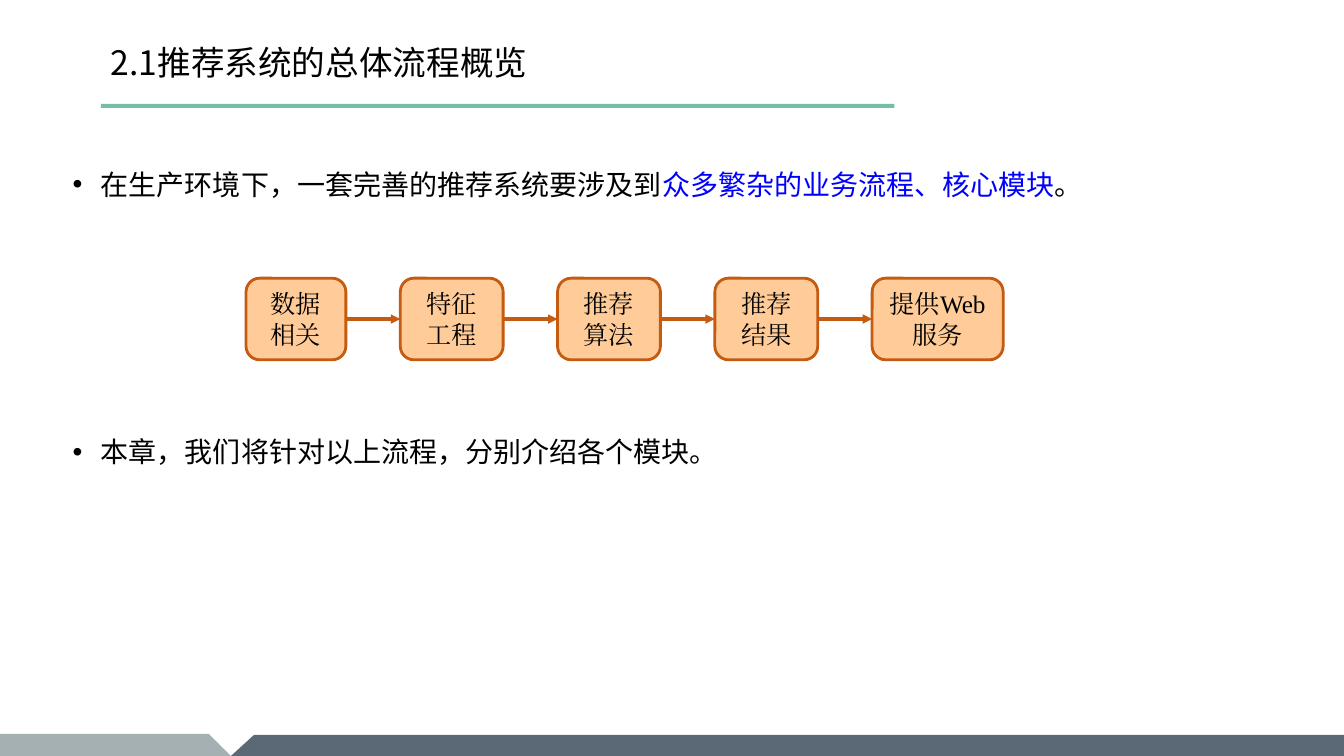
from lxml import etree
from pptx import Presentation
from pptx.dml.color import RGBColor
from pptx.enum.shapes import MSO_CONNECTOR, MSO_SHAPE
from pptx.enum.text import MSO_ANCHOR, PP_ALIGN
from pptx.oxml.ns import qn
from pptx.util import Inches, Pt

STRAIGHT = MSO_CONNECTOR.STRAIGHT
RECTANGLE, ROUNDED = MSO_SHAPE.RECTANGLE, MSO_SHAPE.ROUNDED_RECTANGLE
TOP, MIDDLE = MSO_ANCHOR.TOP, MSO_ANCHOR.MIDDLE
LEFT, CENTER = PP_ALIGN.LEFT, PP_ALIGN.CENTER

BLACK = RGBColor(0x00, 0x00, 0x00)
BLUE = RGBColor(0x00, 0x00, 0xFF)
GREEN = RGBColor(0x75, 0xBD, 0xA7)
PEACH = RGBColor(0xFF, 0xCC, 0x99)
RUST = RGBColor(0xC5, 0x5A, 0x11)
NAVY = RGBColor(0x24, 0x38, 0x48)
GREY = RGBColor(0x7A, 0x8C, 0x8E)

SANS, SERIF = "Noto Sans CJK SC", "Times New Roman"
WIDTH, HEIGHT = 13.33, 7.5

TITLE = "2.1推荐系统的总体流程概览"
POINTS = [
    (0, [("在生产环境下，一套完善的推荐系统要涉及到", BLACK),
         ("众多繁杂的业务流程、核心模块", BLUE),
         ("。", BLACK)]),
    (167, [("本章，我们将针对以上流程，分别介绍各个模块。", BLACK)]),
]
STEPS = [("数据相关", 0.99), ("特征工程", 1.02), ("推荐算法", 1.02),
         ("推荐结果", 1.02), ("提供Web服务", 1.3)]
STEP_LEFT, STEP_TOP, STEP_HEIGHT, STEP_GAP = 2.44, 2.76, 0.81, 0.54
FOOTER = [
    (NAVY, 75, [(2.29, HEIGHT), (2.52, 7.29), (WIDTH, 7.29), (WIDTH, HEIGHT)]),
    (GREY, 68, [(0, 7.28), (2.07, 7.28), (2.29, HEIGHT), (0, HEIGHT)]),
]


def paint(shape, fill, line=None):
    shape.shadow.inherit = False
    shape.fill.solid()
    shape.fill.fore_color.rgb = fill
    if line is None:
        shape.line.fill.background()
    else:
        shape.line.color.rgb = line
        shape.line.width = Pt(2)


def set_frame(frame, anchor, inset, top_inset):
    frame.word_wrap = True
    layout = {"vertical_anchor": anchor, "margin_left": Inches(inset),
              "margin_right": Inches(inset), "margin_top": Inches(top_inset),
              "margin_bottom": Inches(0.05)}
    for name, value in layout.items():
        setattr(frame, name, value)


def write(paragraph, pieces, size, face, align=LEFT):
    paragraph.alignment = align
    for words, color in pieces:
        run = paragraph.add_run()
        run.text = words
        for name, value in {"size": Pt(size), "name": face}.items():
            setattr(run.font, name, value)
        run.font.color.rgb = color
        east_asian = etree.SubElement(run._r.get_or_add_rPr(), qn("a:ea"))
        east_asian.set("typeface", face)


def add_bullet(paragraph):
    properties = paragraph._p.get_or_add_pPr()
    properties.set("marL", str(Inches(0.28)))
    properties.set("indent", str(Inches(-0.28)))
    etree.SubElement(properties, qn("a:buFont")).set("typeface", "Arial")
    etree.SubElement(properties, qn("a:buChar")).set("char", "•")


def add_arrow(shapes, start, end):
    arrow = shapes.add_connector(STRAIGHT, 0, 0, 0, 0)
    arrow.begin_connect(start, 3)
    arrow.end_connect(end, 1)
    arrow.line.color.rgb = RUST
    arrow.line.width = Pt(2.25)
    etree.SubElement(arrow.line._get_or_add_ln(), qn("a:tailEnd")).set("type", "triangle")
    etree.SubElement(arrow._element.spPr, qn("a:effectLst"))


def add_footer(shapes):
    for color, opacity, corners in FOOTER:
        points = [(Inches(x), Inches(y)) for x, y in corners]
        outline = shapes.build_freeform(*points[0])
        outline.add_line_segments(points[1:], close=True)
        band = outline.convert_to_shape()
        paint(band, color)
        tint = band._element.spPr.find(qn("a:solidFill"))[0]
        etree.SubElement(tint, qn("a:alpha")).set("val", str(opacity * 1000))


def add_heading(shapes):
    rule = shapes.add_shape(RECTANGLE, Inches(1), Inches(1.03), Inches(7.87), Inches(0.04))
    paint(rule, GREEN)
    heading = shapes.add_textbox(Inches(1.05), Inches(0.19), Inches(8.32), Inches(0.86))
    set_frame(heading.text_frame, MIDDLE, 0.05, 0.05)
    write(heading.text_frame.paragraphs[0], [(TITLE, BLACK)], 24, SANS)


def add_points(shapes):
    body = shapes.add_textbox(Inches(0.67), Inches(1.26), Inches(12), Inches(5.81))
    frame = body.text_frame
    set_frame(frame, TOP, 0.05, 0.4)
    for index, (gap, pieces) in enumerate(POINTS):
        paragraph = frame.add_paragraph() if index else frame.paragraphs[0]
        paragraph.space_before = Pt(gap)
        add_bullet(paragraph)
        write(paragraph, pieces, 20, SANS)


def add_flow(shapes):
    left, previous = STEP_LEFT, None
    for label, width in STEPS:
        step = shapes.add_shape(ROUNDED, Inches(left), Inches(STEP_TOP),
                                Inches(width), Inches(STEP_HEIGHT))
        paint(step, PEACH, RUST)
        set_frame(step.text_frame, MIDDLE, 0.1, 0.05)
        write(step.text_frame.paragraphs[0], [(label, BLACK)], 18, SERIF, CENTER)
        if previous is not None:
            add_arrow(shapes, previous, step)
        left, previous = left + width + STEP_GAP, step


def main():
    deck = Presentation()
    deck.slide_width, deck.slide_height = Inches(WIDTH), Inches(HEIGHT)
    shapes = deck.slides.add_slide(deck.slide_layouts[6]).shapes
    for add_part in (add_footer, add_heading, add_points, add_flow):
        add_part(shapes)
    deck.save("out.pptx")


if __name__ == "__main__":
    main()
